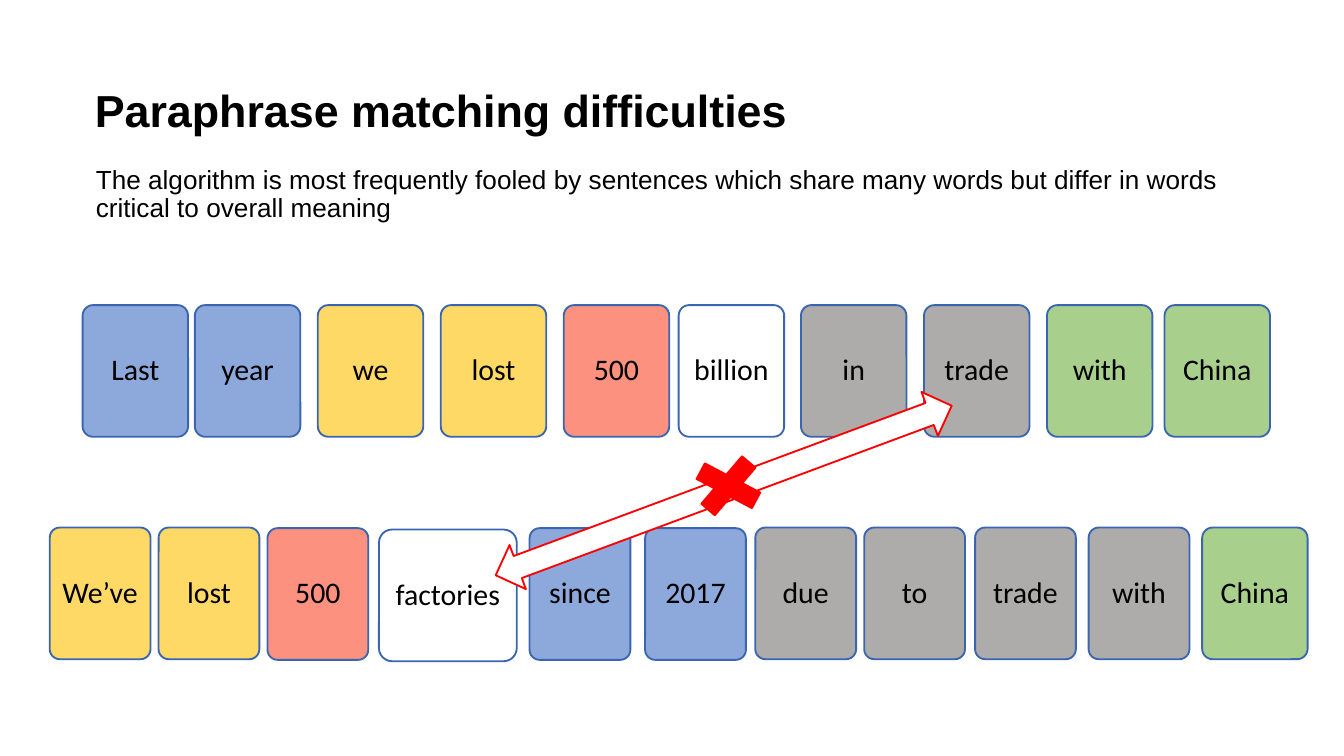
"""Builds the slide on paraphrase matching difficulties."""
from typing import NamedTuple, Optional

from pptx import Presentation
from pptx.dml.color import RGBColor
from pptx.enum.shapes import MSO_SHAPE as Preset
from pptx.enum.text import MSO_ANCHOR as Anchor, MSO_AUTO_SIZE as AutoSize, PP_ALIGN as Align
from pptx.shapes.autoshape import Shape
from pptx.slide import Slide
from pptx.util import Emu, Pt

EMU_PER_PX = 4572
BLACK, WHITE, RED, BORDER = "000000", "FFFFFF", "FF0000", "3A66B1"
BLUE, YELLOW, CORAL, GRAY, GREEN = "8DA9DB", "FFD966", "FD917F", "AEABAB", "A8D08C"
CARD_HEIGHT = 196
CARD_INSET = 12


class Box(NamedTuple):
    left: int
    top: int
    width: int
    height: int


class Card(NamedTuple):
    word: str
    left: int
    fill: Optional[str]
    width: int
    top: int


class Mark(NamedTuple):
    preset: Preset
    box: Box
    rotation: float
    adjustments: tuple[float, ...]
    fill: str


FIRST_SENTENCE = [
    Card(word, left, fill, 157, 454)
    for word, left, fill in [
        ("Last", 123, BLUE), ("year", 290, BLUE), ("we", 473, YELLOW), ("lost", 656, YELLOW),
        ("500", 839, CORAL), ("billion", 1010, None), ("in", 1192, GRAY), ("trade", 1375, GRAY),
        ("with", 1558, GREEN), ("China", 1733, GREEN),
    ]
]
SECOND_SENTENCE = [
    Card("We’ve", 74, YELLOW, 150, 785),
    Card("lost", 236, YELLOW, 150, 785),
    Card("500", 398, CORAL, 150, 786),
    Card("factories", 564, None, 205, 788),
    Card("since", 788, BLUE, 150, 786),
    Card("2017", 960, BLUE, 150, 786),
    Card("due", 1124, GRAY, 150, 785),
    Card("to", 1286, GRAY, 150, 785),
    Card("trade", 1451, GRAY, 150, 785),
    Card("with", 1620, GRAY, 150, 785),
    Card("China", 1789, GREEN, 157, 785),
]
MARKS = [
    Mark(Preset.LEFT_RIGHT_ARROW, Box(715, 695, 724, 70), 339.6, (0.5, 0.5), WHITE),
    Mark(Preset.MATH_MULTIPLY, Box(1014, 667, 140, 112), 349.2, (0.235,), RED),
]


def px(length: int) -> Emu:
    """Turn px into EMU."""
    return Emu(length * EMU_PER_PX)


def color(value: str) -> RGBColor:
    """Turn a hex string into a colour."""
    return RGBColor.from_string(value)


def write(shape: Shape, text: str, size: int, font: str, align: Align, anchor: Anchor,
          bold: bool = False) -> None:
    """Write one formatted paragraph into a shape."""
    frame = shape.text_frame
    frame.word_wrap = True
    frame.auto_size = AutoSize.NONE
    frame.vertical_anchor = anchor
    paragraph = frame.paragraphs[0]
    paragraph.alignment = align
    paragraph.line_spacing = 0.9
    run = paragraph.add_run()
    run.text = text
    run.font.size = Pt(size)
    run.font.name = font
    run.font.bold = bold
    run.font.color.rgb = color(BLACK)


def add_preset(slide: Slide, preset: Preset, box: Box, fill: Optional[str], line: str) -> Shape:
    """Add a flat preset shape with a thin outline."""
    shape = slide.shapes.add_shape(preset, *map(px, box))
    shape.shadow.inherit = False
    if fill:
        shape.fill.solid()
        shape.fill.fore_color.rgb = color(fill)
    else:
        shape.fill.background()
    shape.line.color.rgb = color(line)
    shape.line.width = Pt(1)
    return shape


def add_card(slide: Slide, card: Card) -> None:
    """Add one word card."""
    box = Box(card.left, card.top, card.width, CARD_HEIGHT)
    shape = add_preset(slide, Preset.ROUNDED_RECTANGLE, box, card.fill, BORDER)
    shape.adjustments[0] = 0.1
    frame = shape.text_frame
    frame.margin_left = frame.margin_right = px(CARD_INSET)
    frame.margin_top = frame.margin_bottom = px(CARD_INSET)
    write(shape, card.word, 16, "Calibri", Align.CENTER, Anchor.MIDDLE)


def add_mark(slide: Slide, mark: Mark) -> None:
    """Add one rotated red mark."""
    shape = add_preset(slide, mark.preset, mark.box, mark.fill, RED)
    shape.rotation = mark.rotation
    for index, value in enumerate(mark.adjustments):
        shape.adjustments[index] = value


def main() -> None:
    """Build and save the presentation."""
    presentation = Presentation()
    presentation.slide_width, presentation.slide_height = px(2000), px(1125)
    slide = presentation.slides.add_slide(presentation.slide_layouts[5])

    title = slide.shapes.title
    title.left, title.top, title.width, title.height = map(px, Box(121, 59, 1724, 218))
    write(title, "Paraphrase matching difficulties", 24, "Arial", Align.LEFT, Anchor.MIDDLE, True)

    for card in FIRST_SENTENCE + SECOND_SENTENCE:
        add_card(slide, card)

    body = slide.shapes.add_textbox(*map(px, Box(123, 239, 1768, 714)))
    write(body, "The algorithm is most frequently fooled by sentences which share many words "
          "but differ in words critical to overall meaning", 14, "Arial", Align.LEFT, Anchor.TOP)

    for mark in MARKS:
        add_mark(slide, mark)
    presentation.save("out.pptx")


if __name__ == "__main__":
    main()
